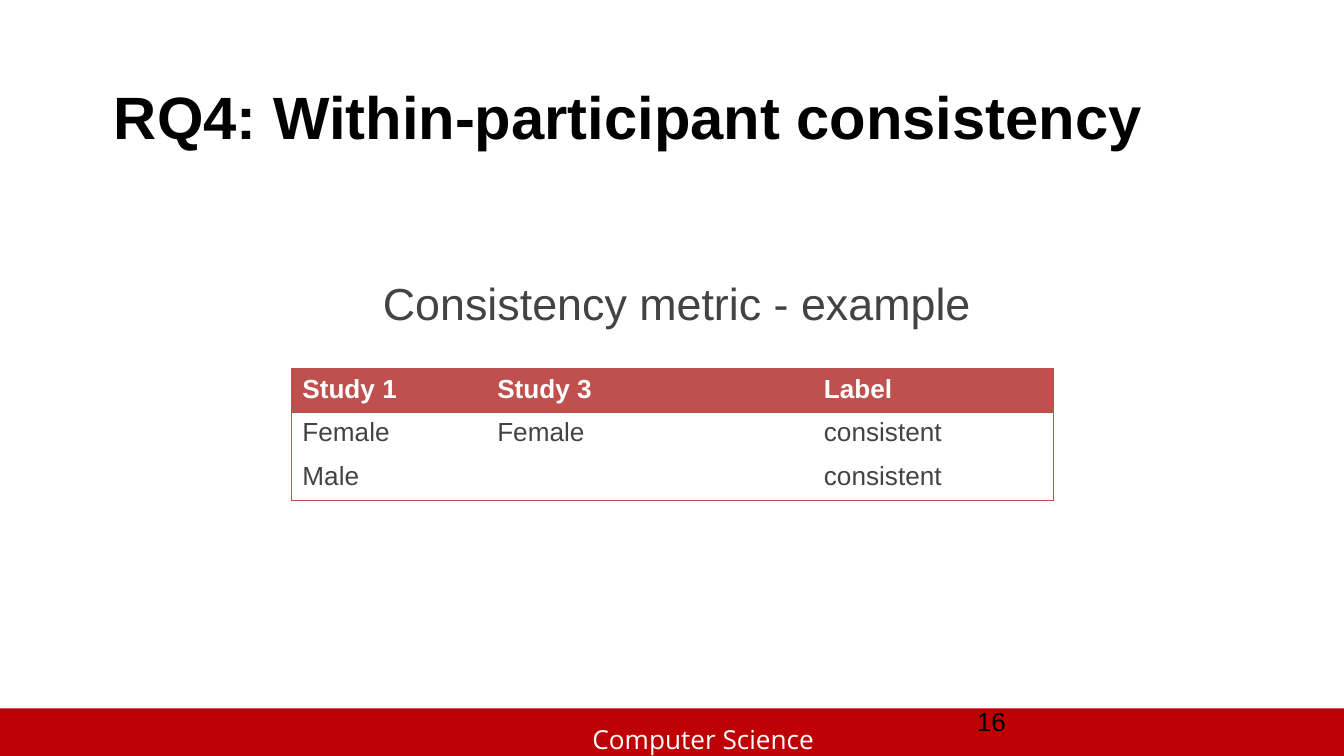
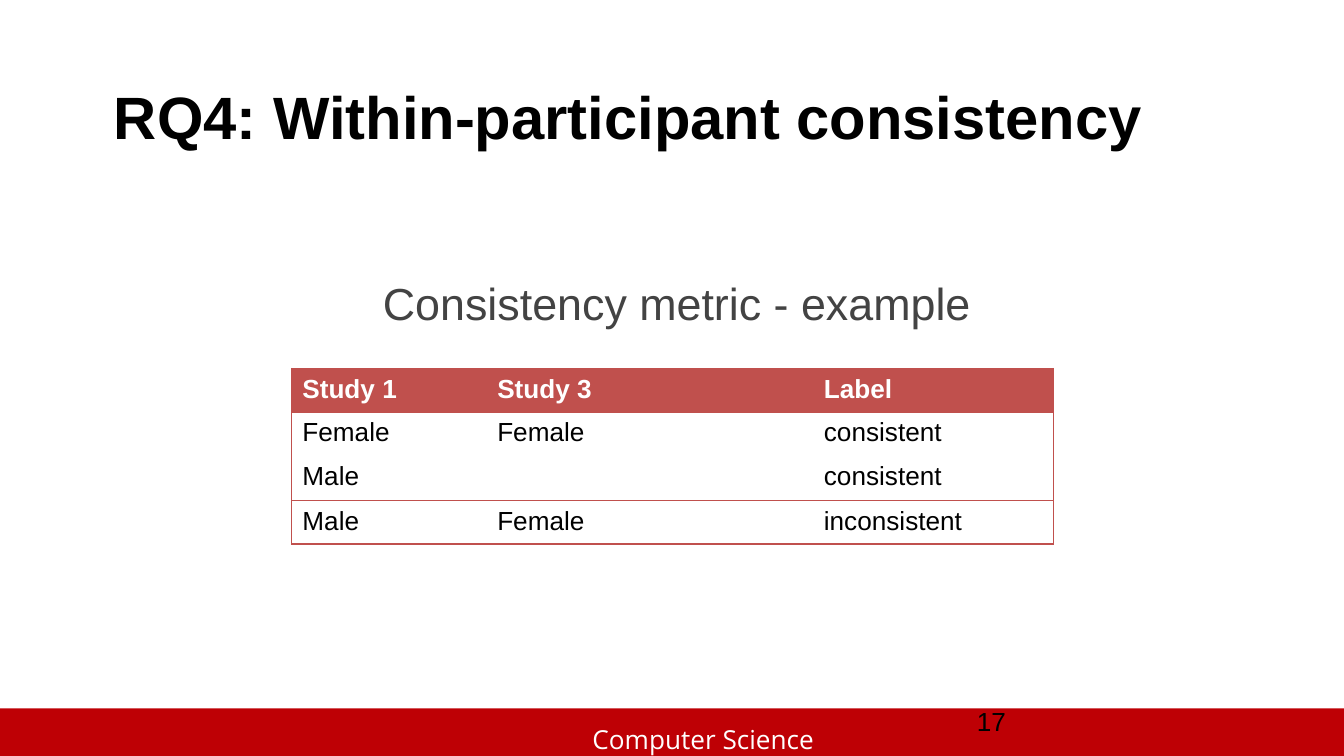
"""Build two slides that step through a consistency metric example."""
from dataclasses import dataclass

from lxml import etree
from pptx import Presentation
from pptx.dml.color import RGBColor
from pptx.enum.shapes import MSO_SHAPE
from pptx.enum.text import MSO_ANCHOR, PP_ALIGN
from pptx.oxml.ns import qn
from pptx.slide import Slide
from pptx.table import _Cell
from pptx.text.text import TextFrame
from pptx.util import Inches, Pt

RECTANGLE = MSO_SHAPE.RECTANGLE
TOP, MIDDLE = MSO_ANCHOR.TOP, MSO_ANCHOR.MIDDLE
LEFT, CENTER = PP_ALIGN.LEFT, PP_ALIGN.CENTER

BLACK = RGBColor(0x00, 0x00, 0x00)
WHITE = RGBColor(0xFF, 0xFF, 0xFF)
DARK_GRAY = RGBColor(0x43, 0x43, 0x43)
BAND_RED = RGBColor(0xBE, 0x00, 0x05)
TABLE_RED = RGBColor(0xC0, 0x50, 0x4D)

SLIDE_WIDTH = Inches(10)
SLIDE_HEIGHT = SLIDE_WIDTH * 9 // 16
BLANK_LAYOUT = 6
THIN, THICK = 0.75, 1
COLUMN_SHARES = (14.5, 24.3, 17.9)
ROW_SHARE = 5.78
HEADER = ("Study 1", "Study 3", "Label")
CONSISTENT_ROWS = (("Female", "Female", "consistent"), ("Male", "", "consistent"))
INCONSISTENT_ROWS = (("Male", "Female", "inconsistent"),)


@dataclass(frozen=True)
class Box:
    """Position and size in percent of the slide."""

    left: float
    top: float
    width: float
    height: float

    def lengths(self) -> tuple[int, int, int, int]:
        """Return the box in slide units."""
        return (across(self.left), down(self.top), across(self.width), down(self.height))


@dataclass(frozen=True)
class TextStyle:
    """Look of a run and its paragraph."""

    size: float
    color: RGBColor
    font: str = "Arial"
    bold: bool = False
    align: PP_ALIGN = LEFT
    line_spacing: float = 1.0


@dataclass(frozen=True)
class Label:
    """A text box with its style."""

    box: Box
    text: str
    style: TextStyle
    anchor: MSO_ANCHOR = TOP
    top_inset: float = 0.05


@dataclass(frozen=True)
class Example:
    """What differs from slide to slide."""

    number: int
    rows: tuple[tuple[str, ...], ...]
    color: RGBColor


BAND = Box(0, 93.7, 100, 6.3)
TABLE = Box(21.7, 48.75, sum(COLUMN_SHARES), ROW_SHARE)
NUMBER_BOX = Box(71.7, 92.7, 23.3, 5.34)
NUMBER_STYLE = TextStyle(14, BLACK)
SHARED_LABELS = (
    Label(Box(43.1, 94.8, 19.3, 4.45), "Computer Science", TextStyle(14, WHITE, "Open Sans")),
    Label(Box(7.5, 7.5, 85, 15.6), "RQ4: Within-participant consistency",
          TextStyle(32, BLACK, bold=True), MIDDLE),
    Label(Box(7.5, 27.2, 85.7, 63.3), "Consistency metric - example",
          TextStyle(24, DARK_GRAY, align=CENTER), top_inset=0.52),
)
EXAMPLES = (
    Example(16, CONSISTENT_ROWS, DARK_GRAY),
    Example(17, CONSISTENT_ROWS + INCONSISTENT_ROWS, BLACK),
)


def across(share: float) -> int:
    """Turn a percentage of the slide width into a length."""
    return int(SLIDE_WIDTH * share / 100)


def down(share: float) -> int:
    """Turn a percentage of the slide height into a length."""
    return int(SLIDE_HEIGHT * share / 100)


def write(frame: TextFrame, text: str, style: TextStyle) -> None:
    """Write one styled run into the first paragraph."""
    paragraph = frame.paragraphs[0]
    paragraph.alignment = style.align
    paragraph.line_spacing = style.line_spacing
    run = paragraph.add_run()
    run.text = text
    run.font.name = style.font
    run.font.size = Pt(style.size)
    run.font.bold = style.bold
    run.font.color.rgb = style.color


def draw_label(slide: Slide, label: Label) -> None:
    """Draw a wrapped text box."""
    frame = slide.shapes.add_textbox(*label.box.lengths()).text_frame
    frame.word_wrap = True
    frame.vertical_anchor = label.anchor
    frame.margin_left = frame.margin_right = Inches(0.1)
    frame.margin_top, frame.margin_bottom = Inches(label.top_inset), Inches(0.05)
    write(frame, label.text, label.style)


def draw_band(slide: Slide) -> None:
    """Draw the footer band."""
    band = slide.shapes.add_shape(RECTANGLE, *BAND.lengths())
    band.shadow.inherit = False
    band.fill.solid()
    band.fill.fore_color.rgb = BAND_RED
    band.line.fill.background()


def set_borders(cell: _Cell, widths: dict[str, float]) -> None:
    """Set the four cell edges, leaving those of no width empty."""
    properties = cell._tc.get_or_add_tcPr()
    for side, width in widths.items():
        edge = etree.SubElement(properties, qn(f"a:ln{side}"), w=str(Pt(width)))
        if width:
            fill = etree.SubElement(edge, qn("a:solidFill"))
            etree.SubElement(fill, qn("a:srgbClr"), val=str(TABLE_RED))
        else:
            etree.SubElement(edge, qn("a:noFill"))


def edge_widths(row: int, column: int) -> dict[str, float]:
    """Choose the edge widths of a cell from its place in the table."""
    rules = (THIN, THIN, 0, THIN, THICK)
    return {
        "L": THIN if column == 0 else 0,
        "R": THICK if column == len(HEADER) - 1 else 0,
        "T": rules[row],
        "B": rules[row + 1],
    }


def draw_table(slide: Slide, example: Example) -> None:
    """Draw the header and the example rows."""
    rows = (HEADER,) + example.rows
    left, top, width, height = TABLE.lengths()
    table = slide.shapes.add_table(
        len(rows), len(HEADER), left, top, width, height * len(rows)).table
    table.first_row = table.horz_banding = False
    for column, share in zip(table.columns, COLUMN_SHARES):
        column.width = across(share)
    for row_index, texts in enumerate(rows):
        is_header = row_index == 0
        style = TextStyle(14, WHITE if is_header else example.color,
                          bold=is_header, line_spacing=1.07)
        for column_index, text in enumerate(texts):
            cell = table.cell(row_index, column_index)
            cell.margin_left = cell.margin_right = Inches(0.08)
            cell.margin_top, cell.margin_bottom = Inches(0.03), 0
            set_borders(cell, edge_widths(row_index, column_index))
            if is_header:
                cell.fill.solid()
                cell.fill.fore_color.rgb = TABLE_RED
            else:
                cell.fill.background()
            if text:
                write(cell.text_frame, text, style)


def main() -> None:
    """Build and save the presentation."""
    presentation = Presentation()
    presentation.slide_width, presentation.slide_height = SLIDE_WIDTH, SLIDE_HEIGHT
    for example in EXAMPLES:
        slide = presentation.slides.add_slide(presentation.slide_layouts[BLANK_LAYOUT])
        draw_band(slide)
        for label in SHARED_LABELS:
            draw_label(slide, label)
        draw_table(slide, example)
        draw_label(slide, Label(NUMBER_BOX, str(example.number), NUMBER_STYLE, MIDDLE))
    presentation.save("out.pptx")


if __name__ == "__main__":
    main()
